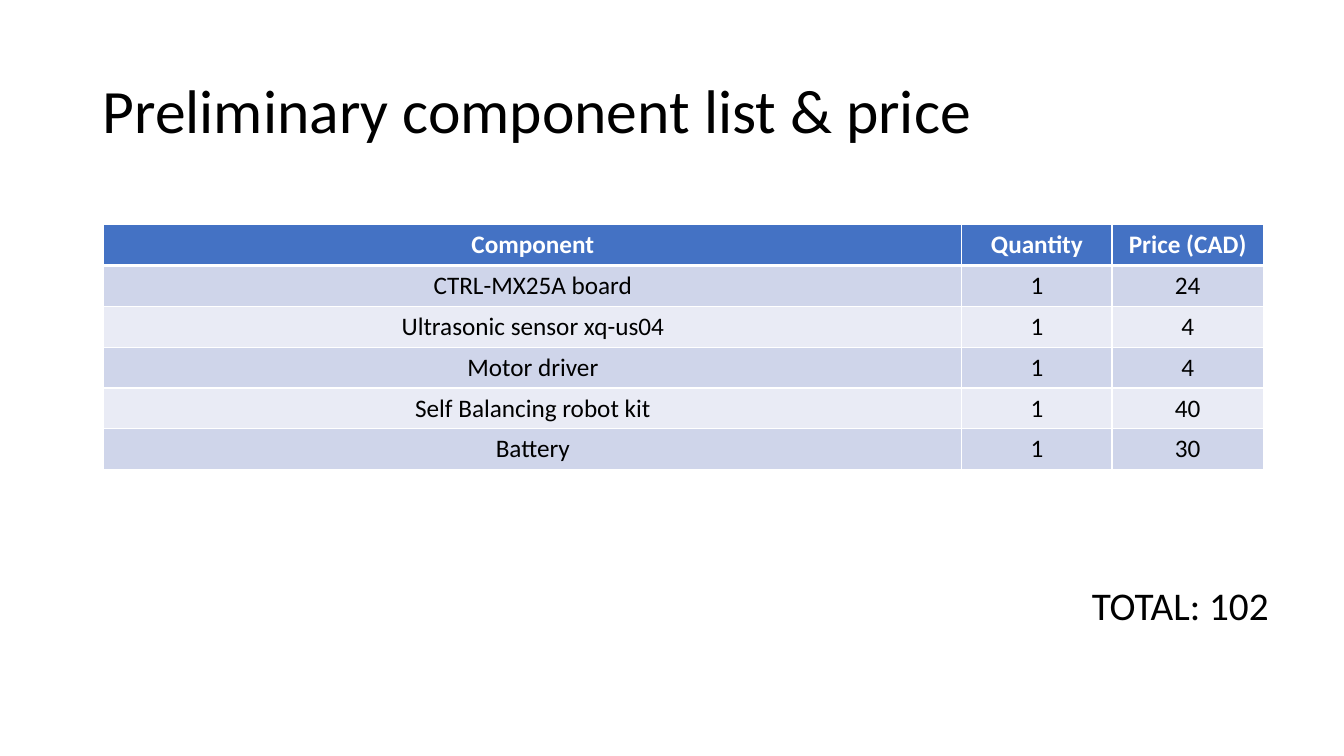
from dataclasses import dataclass

from lxml import etree
from pptx import Presentation
from pptx import util as u
from pptx.dml.color import RGBColor
from pptx.enum import text
from pptx.oxml import ns


@dataclass(frozen=True)
class Theme:
    font: str = "Calibri"
    ink: str = "000000"
    paper: str = "FFFFFF"
    header: str = "4472C4"
    bands: tuple = ("CFD5EA", "E9EBF5")
    title_size: int = 44
    total_size: int = 28
    table_size: int = 18
    rule: int = 1
    header_rule: int = 3


THEME = Theme()
HEADINGS = ("Component", "Quantity", "Price (CAD)")
COMPONENTS = (
    ("CTRL-MX25A board", 1, 24),
    ("Ultrasonic sensor xq-us04", 1, 4),
    ("Motor driver", 1, 4),
    ("Self Balancing robot kit", 1, 40),
    ("Battery", 1, 30),
)
COLUMN_WIDTHS = (8.51, 1.49, 1.5)


def style(p, size, color, bold=False):
    p.font.name = THEME.font
    p.font.size = u.Pt(size)
    p.font.bold = bold
    p.font.color.rgb = RGBColor.from_string(color)


def add_text(s, box, content, size):
    tf = s.shapes.add_textbox(*map(u.Inches, box)).text_frame
    tf.word_wrap = True
    p = tf.paragraphs[0]
    p.text = content
    style(p, size, THEME.ink)
    return tf


def add_title(s, box):
    tf = add_text(s, box, "Preliminary component list & price", THEME.title_size)
    tf.vertical_anchor = text.MSO_ANCHOR.MIDDLE
    tf.paragraphs[0].line_spacing = 0.9


def add_total(s, box):
    total = sum(quantity * price for _, quantity, price in COMPONENTS)
    tf = add_text(s, box, f"TOTAL: {total}", THEME.total_size)
    tf.auto_size = text.MSO_AUTO_SIZE.SHAPE_TO_FIT_TEXT


def set_borders(cell, top, bottom):
    tc_pr = cell._tc.get_or_add_tcPr()
    widths = {"L": THEME.rule, "R": THEME.rule, "T": top, "B": bottom}
    for side, width in widths.items():
        ln = etree.SubElement(tc_pr, ns.qn(f"a:ln{side}"), w=str(u.Pt(width)))
        fill = etree.SubElement(ln, ns.qn("a:solidFill"))
        etree.SubElement(fill, ns.qn("a:srgbClr"), val=THEME.paper)


def add_components(s, box):
    rows = (HEADINGS,) + COMPONENTS
    table = s.shapes.add_table(len(rows), len(HEADINGS), *map(u.Inches, box)).table
    for column, width in zip(table.columns, COLUMN_WIDTHS):
        column.width = u.Inches(width)
    for i, row in enumerate(rows):
        is_header = i == 0
        fill = THEME.header if is_header else THEME.bands[(i - 1) % 2]
        color = THEME.paper if is_header else THEME.ink
        top = THEME.header_rule if i == 1 else THEME.rule
        bottom = THEME.header_rule if is_header else THEME.rule
        for j, value in enumerate(row):
            cell = table.cell(i, j)
            set_borders(cell, top, bottom)
            cell.fill.solid()
            cell.fill.fore_color.rgb = RGBColor.from_string(fill)
            p = cell.text_frame.paragraphs[0]
            p.text = str(value)
            p.alignment = text.PP_ALIGN.CENTER
            style(p, THEME.table_size, color, is_header)


def main():
    prs = Presentation()
    prs.slide_width, prs.slide_height = u.Inches(13.33), u.Inches(7.5)
    s = prs.slides.add_slide(prs.slide_layouts[6])
    add_title(s, (0.92, 0.4, 11.5, 1.45))
    add_components(s, (1.03, 2.23, sum(COLUMN_WIDTHS), 2.43))
    add_total(s, (10.73, 5.72, 3.38, 0.57))
    prs.save("out.pptx")


if __name__ == "__main__":
    main()
